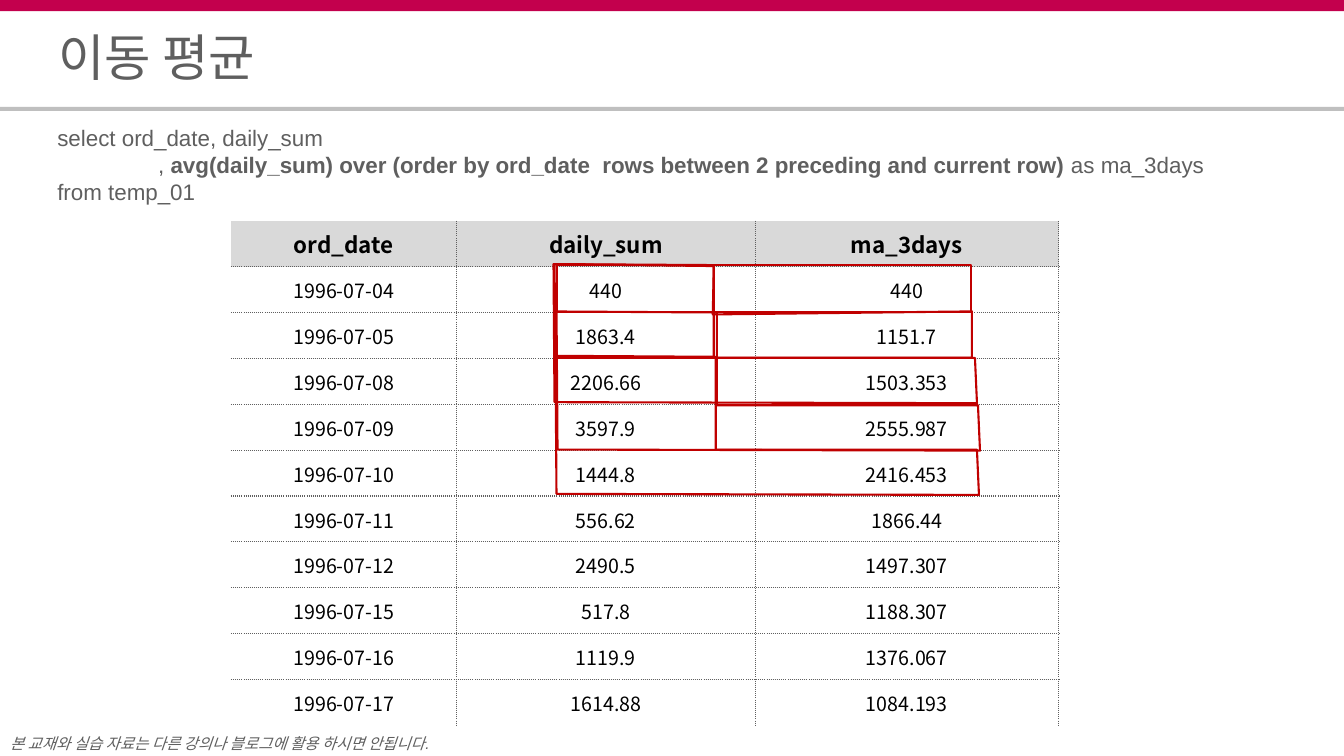
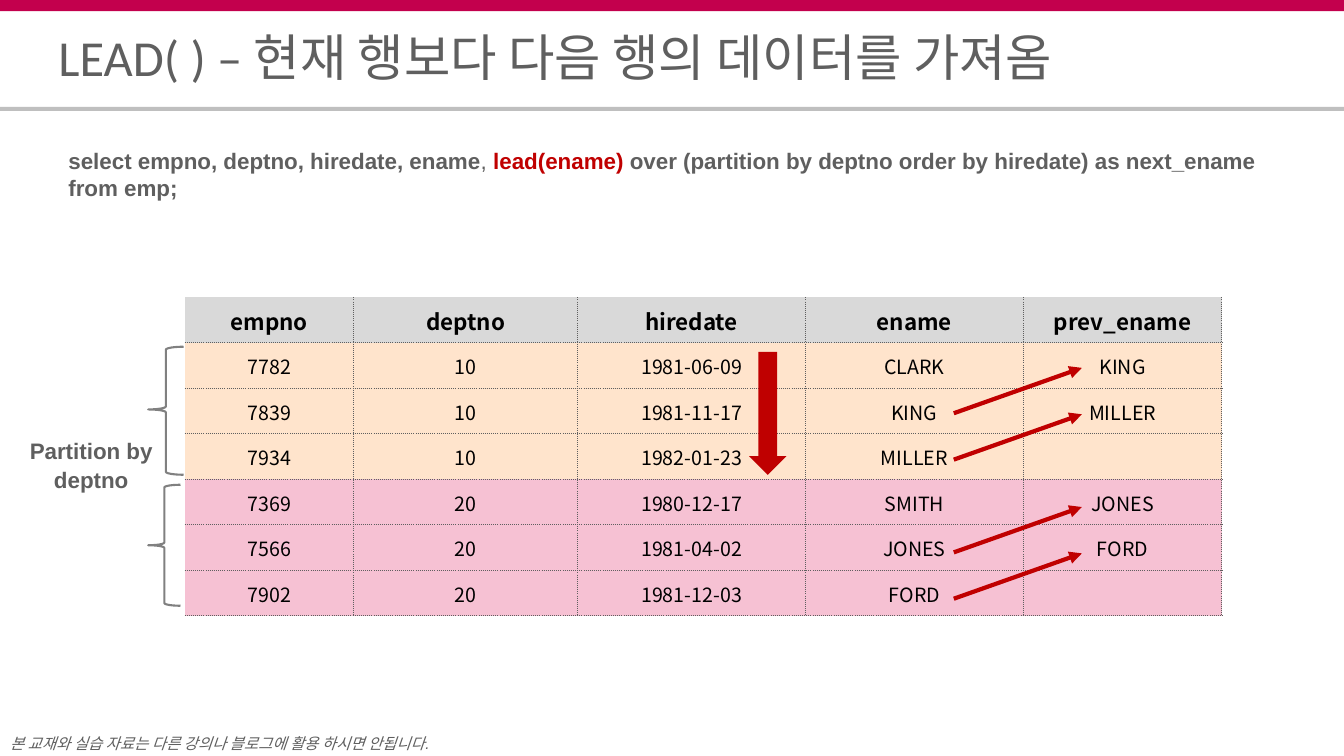
import pptx
import pptx.util
import pptx.dml.color
import pptx.enum.dml
import pptx.enum.shapes
import pptx.enum.text
import pptx.oxml
import pptx.oxml.ns
from lxml import etree

Inches = pptx.util.Inches
Pt = pptx.util.Pt
RGB = pptx.dml.color.RGBColor
Kind = pptx.enum.shapes.MSO_SHAPE
Align = pptx.enum.text.PP_ALIGN
Anchor = pptx.enum.text.MSO_ANCHOR
qn = pptx.oxml.ns.qn

# Colours
BRAND = RGB(0xC3, 0x00, 0x4D)
RULE = RGB(0xBF, 0xBF, 0xBF)
GREY = RGB(0x5F, 0x5F, 0x5F)
BRACE = RGB(0x80, 0x80, 0x80)
RED = RGB(0xC0, 0x00, 0x00)
ARROW = RGB(0xBF, 0x00, 0x00)
BLACK = RGB(0x00, 0x00, 0x00)
HEAD = RGB(0xD9, 0xD9, 0xD9)
PEACH = RGB(0xFF, 0xE4, 0xCC)
PINK = RGB(0xF6, 0xC1, 0xD3)

# Text formats
ASIAN = "Noto Sans CJK KR"
TITLE = {"name": "Calibri", "size": Pt(36), "color": GREY}
FOOT = {"name": "Arial", "size": Pt(11), "italic": True, "color": GREY}
CODE = {"name": "Arial", "size": Pt(16), "bold": False, "color": GREY}
BOLD = {**CODE, "bold": True}
MARK = {**BOLD, "color": RED}
CELL = {"name": ASIAN, "size": Pt(14), "bold": False, "color": BLACK}
TOP = {**CELL, "size": Pt(16), "bold": True}

NOTICE = "본 교재와 실습 자료는 다른 강의나 블로그에 활용 하시면 안됩니다."
NO_STYLE = "{2D5ABB26-0587-4C30-8999-92F81FD0307C}"


class Deck:
    def __init__(self):
        self.prs = pptx.Presentation()
        self.prs.slide_width = Inches(13.33)
        self.prs.slide_height = Inches(7.5)
        self.shapes = None

    def page(self, title):
        """Start a slide with its bands, notice and title."""
        self.shapes = self.prs.slides.add_slide(self.prs.slide_layouts[6]).shapes
        self.shape(Kind.RECTANGLE, 0, 0, 13.33, 0.11, fill=BRAND)
        self.shape(Kind.RECTANGLE, 0, 1.06, 13.33, 0.04, fill=RULE)
        self.text(0.1, 7.19, 4.81, 0.31, [[(NOTICE, FOOT)]], pad=0, space=1.5)
        self.text(0.58, 0.33, 12.17, 0.58, [[(title, TITLE)]], pad=0,
                  space=0.8, anchor=Anchor.MIDDLE)

    def run(self, para, text, style):
        run = para.add_run()
        run.text = text
        for key, value in style.items():
            if key == "color":
                run.font.color.rgb = value
            else:
                setattr(run.font, key, value)
        latin = run.font._element.find(qn("a:latin"))
        east = etree.Element(qn("a:ea"), typeface=ASIAN)
        latin.addnext(east)

    def text(self, x, y, w, h, paras, pad=None, space=None, align=None,
             anchor=Anchor.TOP, wrap=True, tab=None):
        box = self.shapes.add_textbox(Inches(x), Inches(y), Inches(w), Inches(h))
        frame = box.text_frame
        frame.word_wrap = wrap
        frame.vertical_anchor = anchor
        if pad is not None:
            for side in ("left", "top", "right", "bottom"):
                setattr(frame, "margin_" + side, Inches(pad))
        for i, runs in enumerate(paras):
            para = frame.paragraphs[0] if i == 0 else frame.add_paragraph()
            if tab:
                stops = etree.SubElement(para._p.get_or_add_pPr(), qn("a:tabLst"))
                etree.SubElement(stops, qn("a:tab"), pos=str(Inches(tab)), algn="l")
            para.alignment = align
            para.line_spacing = space
            for text, style in runs:
                self.run(para, text, style)

    def paint(self, item, fill, line, width=1.5):
        item.shadow.inherit = False
        if fill is None:
            item.fill.background()
        else:
            item.fill.solid()
            item.fill.fore_color.rgb = fill
        if line is None:
            item.line.fill.background()
        else:
            item.line.color.rgb = line
            item.line.width = Pt(width)

    def shape(self, kind, x, y, w, h, fill=None, line=None):
        item = self.shapes.add_shape(kind, Inches(x), Inches(y), Inches(w), Inches(h))
        self.paint(item, fill, line)
        return item

    def outline(self, x, y, points):
        """Closed red outline; points are offsets from (x, y)."""
        spots = [(Inches(x + dx), Inches(y + dy)) for dx, dy in points]
        pen = self.shapes.build_freeform(*spots[0])
        pen.add_line_segments(spots[1:], close=True)
        self.paint(pen.convert_to_shape(), None, RED)

    def arrow(self, x1, y1, x2, y2):
        item = self.shapes.add_connector(
            pptx.enum.shapes.MSO_CONNECTOR.STRAIGHT,
            Inches(x1), Inches(y1), Inches(x2), Inches(y2))
        item.line.color.rgb = RED
        item.line.width = Pt(3)
        etree.SubElement(item.line._get_or_add_ln(), qn("a:tailEnd"), type="triangle")
        etree.SubElement(item._element.spPr, qn("a:effectLst"))

    def edge(self, cell, sides):
        """Dotted grid lines on the given sides, listed in L, R, T, B order."""
        props = cell._tc.get_or_add_tcPr()
        for side in sides:
            line = etree.SubElement(props, qn("a:ln" + side), w=str(Pt(1)))
            paint = etree.SubElement(line, qn("a:solidFill"))
            etree.SubElement(paint, qn("a:srgbClr"), val=str(GREY))
            etree.SubElement(line, qn("a:prstDash"), val="sysDot")

    def table(self, x, y, widths, height, rows, fills, closed):
        """Grid of texts; closed draws the line under the last row."""
        last = len(rows) - 1
        frame = self.shapes.add_table(
            len(rows), len(widths), Inches(x), Inches(y),
            Inches(sum(widths)), Inches(height))
        grid = frame.table
        grid.first_row = grid.horz_banding = False
        grid._tbl.tblPr.find(qn("a:tableStyleId")).text = NO_STYLE
        for col, width in zip(grid.columns, widths):
            col.width = Inches(width)
        for r, row in enumerate(rows):
            grid.rows[r].height = Inches(height / len(rows))
            for c, text in enumerate(row):
                cell = grid.cell(r, c)
                cell.vertical_anchor = Anchor.MIDDLE
                for side in ("left", "right", "top"):
                    setattr(cell, "margin_" + side, Inches(0.01))
                cell.margin_bottom = 0
                self.edge(cell, ("L" if c else "") + "R" + ("T" if r else "")
                          + ("B" if r < last or closed else ""))
                if fills[r] is None:
                    cell.fill.background()
                else:
                    cell.fill.solid()
                    cell.fill.fore_color.rgb = fills[r]
                para = cell.text_frame.paragraphs[0]
                para.alignment = Align.CENTER
                if text:
                    self.run(para, text, CELL if r else TOP)


def average(deck):
    deck.page("이동 평균")
    rows = [
        ("ord_date", "daily_sum", "ma_3days"),
        ("1996-07-04", "440", "440"),
        ("1996-07-05", "1863.4", "1151.7"),
        ("1996-07-08", "2206.66", "1503.353"),
        ("1996-07-09", "3597.9", "2555.987"),
        ("1996-07-10", "1444.8", "2416.453"),
        ("1996-07-11", "556.62", "1866.44"),
        ("1996-07-12", "2490.5", "1497.307"),
        ("1996-07-15", "517.8", "1188.307"),
        ("1996-07-16", "1119.9", "1376.067"),
        ("1996-07-17", "1614.88", "1084.193"),
    ]
    deck.table(2.29, 2.19, (2.24, 2.96, 3.01), 5.01, rows,
               [HEAD] + [None] * 10, closed=False)

    # Query
    deck.text(0.47, 1.18, 12.29, 0.91, [
        [("select ord_date, daily_sum", CODE)],
        [("\t, ", CODE),
         ("avg(daily_sum) over (order by ord_date  rows between 2 preceding "
          "and current row)", BOLD),
         (" as ma_3days", CODE)],
        [("from temp_01", CODE)],
    ], tab=1)

    # Windows of one, two and then three rows
    deck.shape(Kind.RECTANGLE, 5.52, 2.63, 4.11, 0.47, line=RED)
    deck.outline(5.5, 2.62, [(0, 0), (0.01, 0.93), (4.14, 0.93),
                             (4.14, 0.47), (1.57, 0.5), (1.58, 0.02)])
    step = [(0, 0), (0.01, 1.37), (4.2, 1.38), (4.18, 0.93), (1.59, 0.93), (1.59, 0.01)]
    for x, y in ((5.49, 2.62), (5.52, 3.09), (5.51, 3.53)):
        deck.outline(x, y, step)


def lead(deck):
    deck.page("LEAD( ) – 현재 행보다 다음 행의 데이터를 가져옴")
    rows = [
        ("empno", "deptno", "hiredate", "ename", "prev_ename"),
        ("7782", "10", "1981-06-09", "CLARK", "KING"),
        ("7839", "10", "1981-11-17", "KING", "MILLER"),
        ("7934", "10", "1982-01-23", "MILLER", ""),
        ("7369", "20", "1980-12-17", "SMITH", "JONES"),
        ("7566", "20", "1981-04-02", "JONES", "FORD"),
        ("7902", "20", "1981-12-03", "FORD", ""),
    ]
    deck.table(1.83, 2.95, (1.68, 2.22, 2.26, 2.16, 1.97), 3.16, rows,
               [HEAD] + [PEACH] * 3 + [PINK] * 3, closed=True)

    # Partition label and braces
    deck.text(0.27, 4.31, 1.27, 1, [[("Partition by", BOLD)], [("deptno", BOLD)]],
              pad=0, space=1.1, align=Align.CENTER, wrap=False)
    brace = deck.shape(Kind.LEFT_BRACE, 1.47, 3.44, 0.35, 1.27, line=BRACE)
    brace.adjustments[1] = 0.49
    deck.shape(Kind.LEFT_BRACE, 1.47, 4.81, 0.32, 1.2, line=BRACE)

    # Query
    deck.text(0.58, 1.41, 12.48, 0.64, [
        [("select empno, deptno, hiredate, ename", BOLD), (", ", CODE),
         ("lead(ename)", MARK),
         (" over (partition by deptno order by hiredate) as next_ename", BOLD)],
        [("from emp;", BOLD)],
    ])

    # Each name moves up one row
    for row in (0, 1, 3, 4):
        y = 4.1 + 0.46 * row
        deck.arrow(9.46, y, 10.73, y - 0.45)
    deck.shape(Kind.DOWN_ARROW, 7.43, 3.49, 0.37, 1.22, fill=ARROW)


def main():
    deck = Deck()
    average(deck)
    lead(deck)
    deck.prs.save("out.pptx")


if __name__ == "__main__":
    main()
